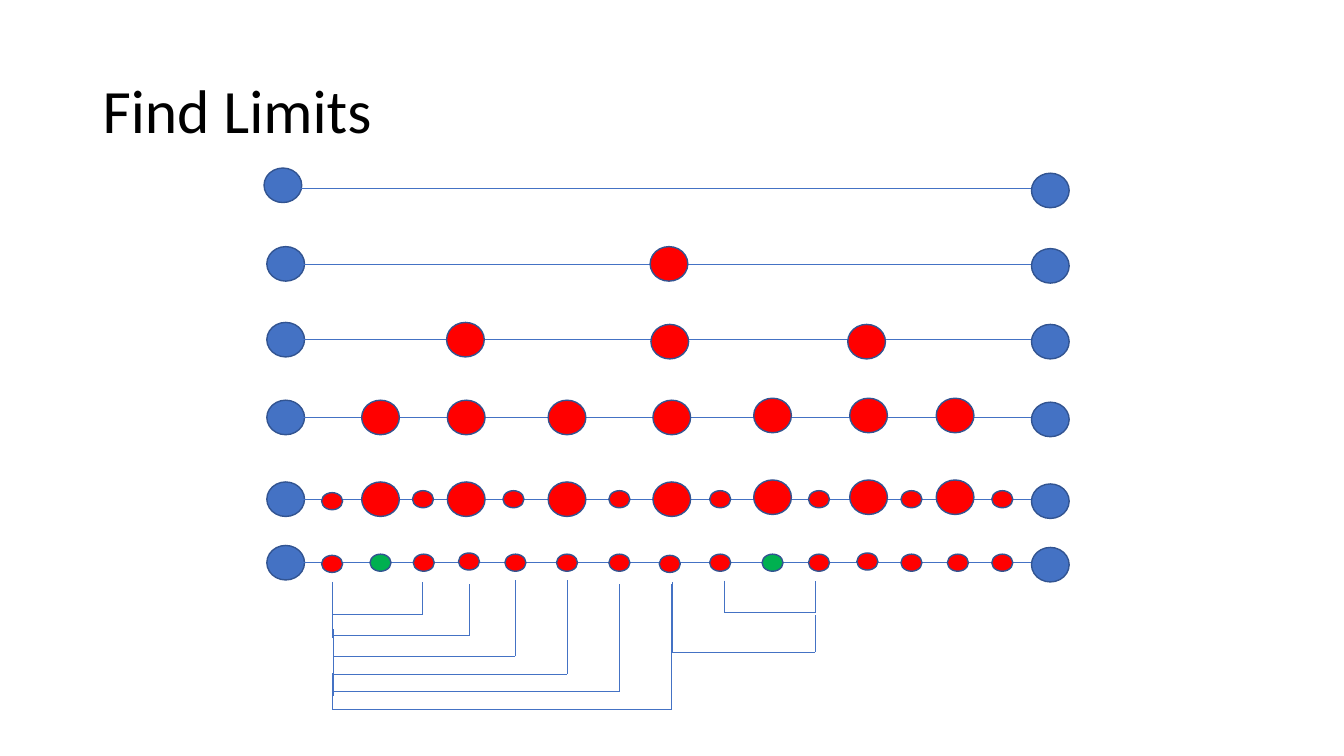
from pptx import Presentation
from pptx.dml.color import RGBColor
from pptx.enum.shapes import MSO_CONNECTOR, MSO_SHAPE
from pptx.enum.text import MSO_ANCHOR, PP_ALIGN
from pptx.oxml.ns import qn
from pptx.util import Cm, Pt
from lxml import etree

STRAIGHT = MSO_CONNECTOR.STRAIGHT
OVAL = MSO_SHAPE.OVAL
MIDDLE = MSO_ANCHOR.MIDDLE
LEFT = PP_ALIGN.LEFT

BLUE = "4472C4"
OUTLINE = "325491"
RED = "FF0000"
GREEN = "00B050"
BIG = (0.95, 0.87)
SMALL = (0.53, 0.43)

LINE_START, LINE_END = 7.2, 26.6
RIGHT_LIMIT = 26.47
LIMIT_DROP = 0.05
LEG_LENGTH = 0.92

QUARTERS = [(11.73, 0), (16.88, 0.05), (21.84, 0.05)]
EIGHTHS = [(9.59, 0), (11.75, 0), (14.29, 0), (16.93, 0),
           (19.47, -0.05), (21.89, -0.05), (24.07, -0.05)]
SIXTEENTHS = [(8.37, 0.05), (10.66, 0), (12.94, 0), (15.61, 0),
              (18.15, 0), (20.64, 0), (22.97, 0), (25.26, 0)]
LAST_RED = [(8.37, 0.03), (10.68, 0), (11.82, -0.03), (12.99, 0),
            (14.29, 0), (15.61, 0), (16.88, 0.03), (18.15, 0),
            (20.64, 0), (21.86, -0.03), (22.97, 0), (24.14, 0), (25.26, 0)]
LAST_GREEN = [(9.59, 0), (19.47, 0)]

# Each row: line height, left limit centre, groups of inner dots.
ROWS = [
    (4.75, (7.13, 4.67), []),
    (6.65, (7.2, 6.65), [(BIG, RED, [(16.86, 0)])]),
    (8.56, (7.2, 8.56), [(BIG, RED, QUARTERS)]),
    (10.52, (7.2, 10.52), [(BIG, RED, EIGHTHS)]),
    (12.58, (7.2, 12.58), [(BIG, RED, EIGHTHS), (SMALL, RED, SIXTEENTHS)]),
    (14.18, (7.2, 14.18), [(SMALL, RED, LAST_RED), (SMALL, GREEN, LAST_GREEN)]),
]

# Each bracket: left x, left top, bottom, right x, right top.
LEFT_BRACKETS = [
    (8.38, 14.66, 15.49, 10.65, 14.66),
    (8.38, 15.16, 16.0, 11.84, 14.71),
    (8.41, 15.85, 16.54, 12.98, 14.61),
    (8.41, 16.26, 16.99, 14.3, 14.61),
    (8.41, 16.61, 17.42, 15.62, 14.71),
    (8.38, 16.97, 17.88, 16.92, 14.71),
]
RIGHT_BRACKETS = [
    (18.26, 14.63, 15.44, 20.54, 14.63),
    (16.94, 14.66, 16.43, 20.55, 15.49),
]


def color(value):
    return RGBColor.from_string(value)


def add_title(slide, text):
    title = slide.shapes.title
    title.left, title.top = Cm(2.33), Cm(1.01)
    title.width, title.height = Cm(29.21), Cm(3.68)
    title.text_frame.text = text
    title.text_frame.vertical_anchor = MIDDLE
    paragraph = title.text_frame.paragraphs[0]
    paragraph.alignment = LEFT
    paragraph.line_spacing = 0.9
    paragraph.font.name = "Calibri"
    paragraph.font.size = Pt(44)
    paragraph.font.color.rgb = color("000000")


def add_line(slide, x1, y1, x2, y2):
    connector = slide.shapes.add_connector(STRAIGHT, Cm(x1), Cm(y1), Cm(x2), Cm(y2))
    connector.line.color.rgb = color(BLUE)
    connector.line.width = Pt(0.5)
    etree.SubElement(connector._element.spPr, qn("a:effectLst"))


def add_dot(slide, x, y, size, fill):
    width, height = size
    shape = slide.shapes.add_shape(
        OVAL, Cm(x - width / 2), Cm(y - height / 2), Cm(width), Cm(height))
    shape.shadow.inherit = False
    shape.fill.solid()
    shape.fill.fore_color.rgb = color(fill)
    shape.line.color.rgb = color(OUTLINE)
    shape.line.width = Pt(1)


def add_row(slide, y, left_limit, groups):
    add_dot(slide, *left_limit, BIG, BLUE)
    add_line(slide, LINE_START, y, LINE_END, y)
    add_dot(slide, RIGHT_LIMIT, y + LIMIT_DROP, BIG, BLUE)
    for size, fill, dots in groups:
        for x, offset in dots:
            add_dot(slide, x, y + offset, size, fill)


def add_bracket(slide, bracket, left_end):
    left, left_top, bottom, right, right_top = bracket
    add_line(slide, left, left_top, left, left_end)
    add_line(slide, left, bottom, right, bottom)
    add_line(slide, right, bottom, right, right_top)


def main():
    presentation = Presentation()
    presentation.slide_width = Cm(33.87)
    presentation.slide_height = Cm(19.05)
    slide = presentation.slides.add_slide(presentation.slide_layouts[5])
    add_title(slide, "Find Limits")
    for row in ROWS:
        add_row(slide, *row)
    for bracket in LEFT_BRACKETS:
        add_bracket(slide, bracket, bracket[1] + LEG_LENGTH)
    for bracket in RIGHT_BRACKETS:
        add_bracket(slide, bracket, bracket[2])
    presentation.save("out.pptx")


if __name__ == "__main__":
    main()
